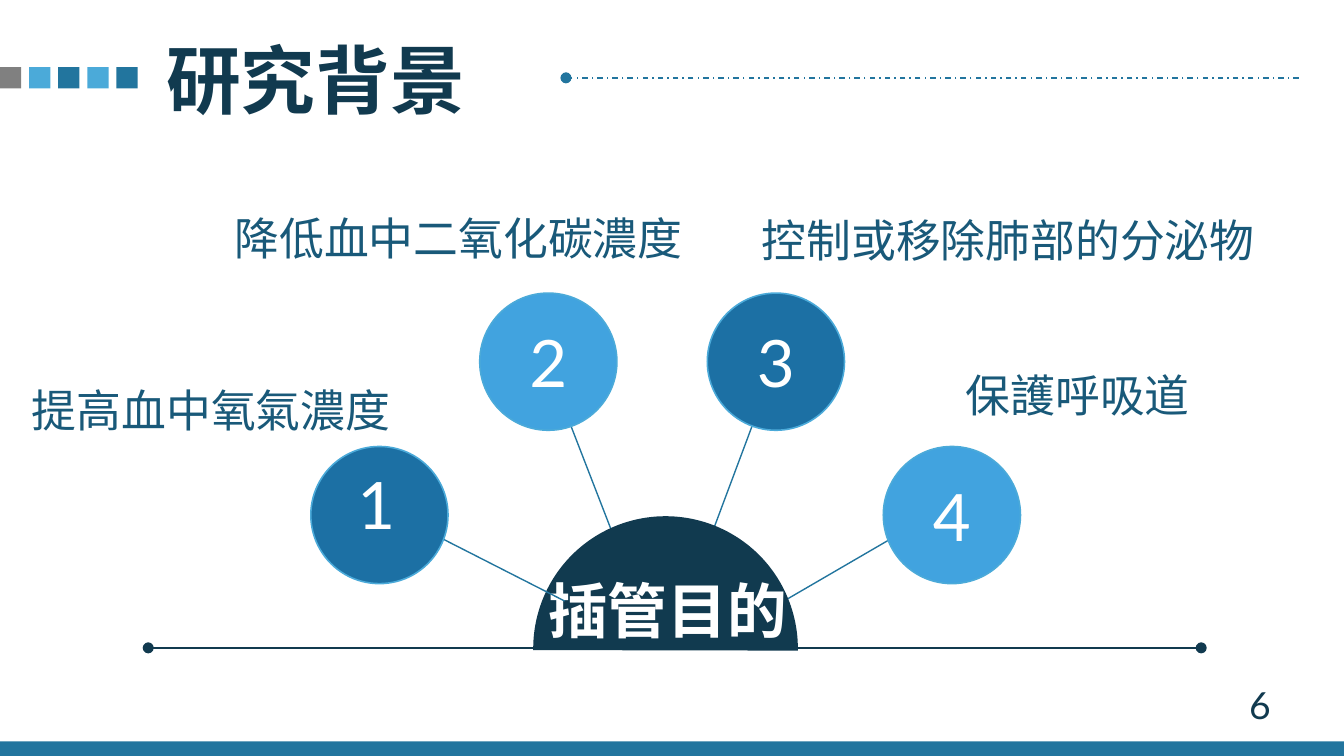
from dataclasses import dataclass

from lxml.etree import SubElement
from pptx import Presentation
from pptx.dml.color import RGBColor
from pptx.enum.dml import MSO_LINE
from pptx.enum.shapes import MSO_CONNECTOR, MSO_SHAPE
from pptx.enum.text import MSO_ANCHOR, PP_ALIGN
from pptx.oxml.ns import qn
from pptx.util import Pt


@dataclass(frozen=True)
class Theme:
    navy: str = "113A4F"
    text: str = "195979"
    teal: str = "22759E"
    sky: str = "4BAAD9"
    deep: str = "1C70A4"
    light: str = "41A3DF"
    gray: str = "808080"
    white: str = "FFFFFF"
    latin: str = "Lato"
    cjk: str = "Noto Sans CJK SC"
    title: int = 40
    number: int = 35
    hub: int = 32
    label: int = 24
    page: int = 20
    line: float = 0.75
    ring: float = 0.85


class Deck:
    def __init__(self, prs, theme):
        self.t = theme
        self.s = prs.slides.add_slide(prs.slide_layouts[6])

    def shape(self, kind, x, y, w, h, fill=None, line=None):
        sp = self.s.shapes.add_shape(kind, Pt(x), Pt(y), Pt(w), Pt(h))
        sp.shadow.inherit = False
        if fill:
            sp.fill.solid()
            sp.fill.fore_color.rgb = RGBColor.from_string(fill)
        else:
            sp.fill.background()
        if line:
            sp.line.color.rgb = RGBColor.from_string(line)
            sp.line.width = Pt(self.t.ring)
        else:
            sp.line.fill.background()
        return sp

    def add_text(self, sp, text, size, color, font, bold=False,
                 align=PP_ALIGN.CENTER, anchor=MSO_ANCHOR.MIDDLE, spacing=None):
        tf = sp.text_frame
        tf.word_wrap = True
        tf.vertical_anchor = anchor
        p = tf.paragraphs[0]
        p.alignment = align
        if spacing:
            p.line_spacing = Pt(spacing)
        r = p.add_run()
        r.text = text
        r.font.size = Pt(size)
        r.font.bold = bold
        r.font.color.rgb = RGBColor.from_string(color)
        r.font.name = font
        SubElement(r.font._element, qn("a:ea"), typeface=font)

    def text(self, x, y, w, h, text, size, color, font=None, bold=False, spacing=None):
        sp = self.s.shapes.add_textbox(Pt(x), Pt(y), Pt(w), Pt(h))
        self.add_text(sp, text, size, color, font or self.t.cjk, bold,
                      PP_ALIGN.JUSTIFY, MSO_ANCHOR.TOP, spacing)

    def line(self, start, end, color, dash=None, head=False, tail=False):
        c = self.s.shapes.add_connector(MSO_CONNECTOR.STRAIGHT, *map(Pt, start + end))
        c.line.color.rgb = RGBColor.from_string(color)
        c.line.width = Pt(self.t.line)
        if dash:
            c.line.dash_style = dash
        ln = c._element.spPr.find(qn("a:ln"))
        for tag, wanted in (("a:headEnd", head), ("a:tailEnd", tail)):
            if wanted:
                SubElement(ln, qn(tag), type="oval")
        SubElement(c._element.spPr, qn("a:effectLst"))

    def circle(self, x, y, fill, number=None):
        sp = self.shape(MSO_SHAPE.OVAL, x, y, 73.5, 73.5, fill, self.t.sky)
        if number:
            self.add_text(sp, number, self.t.number, self.t.white, self.t.latin)


def main():
    prs = Presentation()
    prs.slide_width, prs.slide_height = Pt(720), Pt(405)
    t = Theme()
    d = Deck(prs, t)

    # Footer bar
    d.shape(MSO_SHAPE.RECTANGLE, 0, 397.2, 720, 7.8, t.teal)

    # Spokes and circles 2 to 4
    for number, start, end, x, y, fill in (
        ("2", (331, 293), (302.5, 219.5), 257, 157, t.light),
        ("3", (378.7, 293), (410.5, 208), 378.9, 157, t.deep),
        ("4", (410.5, 327.5), (489.6, 281.5), 473.2, 239.2, t.light),
    ):
        d.line(start, end, t.teal)
        d.circle(x, y, fill, number)

    # Header squares and dotted rule
    for i, color in enumerate((t.gray, t.sky, t.teal, t.sky, t.teal)):
        d.shape(MSO_SHAPE.RECTANGLE, i * 15.6, 36, 11.4, 11.4, color)
    d.line((695.8, 41.7), (303.2, 41.7), t.teal, MSO_LINE.DASH_DOT, tail=True)

    # Base line and hub
    d.line((79.4, 347.1), (643.5, 347.1), t.navy, head=True, tail=True)
    hub = d.shape(MSO_SHAPE.CHORD, 285.6, 276.5, 141.8, 141.8, t.navy)
    hub.adjustments[0], hub.adjustments[1] = 215.6, 108.54
    hub.rotation = 180
    d.text(286.6, 303.8, 147.6, 46, "插管目的", t.hub, t.white, bold=True)

    # Labels
    for x, y, w, h, text, spacing in (
        (10, 215.2, 211.7, 24.5, "提高血中氧氣濃度", 15),
        (118.6, 109.4, 267.2, 36, "降低血中二氧化碳濃度", None),
        (401, 110.2, 298, 36, "控制或移除肺部的分泌物", None),
        (510.3, 207.2, 136, 24.5, "保護呼吸道", 15),
    ):
        d.text(x, y, w, h, text, t.label, t.text, spacing=spacing)

    # Title
    d.text(82, 14.4, 213, 55.4, "研究背景", t.title, t.navy, bold=True)

    # Spoke and circle 1, in front of the hub
    d.line((302.5, 322), (223, 281.5), t.teal)
    d.circle(166.5, 239.2, t.deep)
    d.text(184.3, 272.2, 32.4, 22.3, "1", t.number, t.white, t.latin, spacing=15)

    # Page number
    page = d.shape(MSO_SHAPE.OVAL, 643.7, 352.8, 62.6, 49.7)
    d.add_text(page, "6", t.page, t.navy, t.latin)

    prs.save("out.pptx")


if __name__ == "__main__":
    main()
